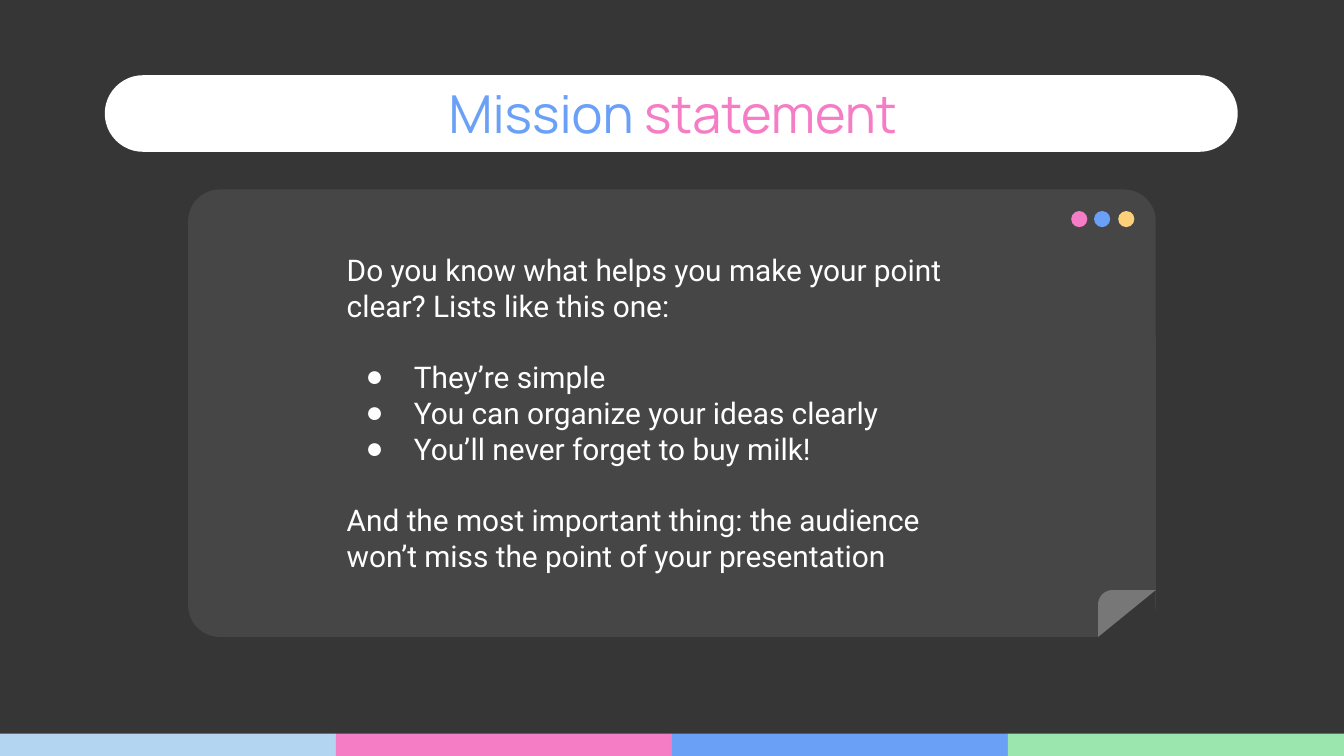
import math

import lxml.etree
import pptx
import pptx.dml.color
import pptx.enum.shapes
import pptx.enum.text
import pptx.oxml.ns
import pptx.util

Inches = pptx.util.Inches
Pt = pptx.util.Pt
Preset = pptx.enum.shapes.MSO_SHAPE
Align = pptx.enum.text.PP_ALIGN
qn = pptx.oxml.ns.qn

BACKGROUND, WHITE = "363636", "FFFFFF"
CARD, FOLD = "464646", "777777"
SKY, PINK, BLUE, GREEN, YELLOW = "B3D5F2", "F57DC6", "6AA1F7", "9AE6AE", "FCCF78"


def paint(target, color):
    """Fill a shape, line, background or font with one solid colour."""
    target.fill.solid()
    target.fill.fore_color.rgb = pptx.dml.color.RGBColor.from_string(color)


class SlideBuilder:
    title_font = {"name": "Manrope", "size": Pt(28)}
    body_font = {"name": "Roboto", "size": Pt(16)}
    paragraph_format = {"space_before": Pt(0), "space_after": Pt(0), "line_spacing": 1.0}
    frame_format = {
        "word_wrap": True,
        "auto_size": pptx.enum.text.MSO_AUTO_SIZE.NONE,
        "vertical_anchor": pptx.enum.text.MSO_ANCHOR.MIDDLE,
        "margin_left": Inches(0.1),
        "margin_right": Inches(0.1),
        "margin_top": Inches(0.1),
        "margin_bottom": Inches(0.1),
    }

    def __init__(self, slide):
        self.slide = slide
        paint(slide.background, BACKGROUND)

    def finish(self, shape, color):
        shape.shadow.inherit = False
        paint(shape, color)
        shape.line.fill.background()
        return shape

    def shape(self, shapes, preset, box, color, corner=None):
        drawn = shapes.add_shape(preset, *map(Inches, box))
        if corner is not None:
            drawn.adjustments[0] = corner
        return self.finish(drawn, color)

    def outline(self, shapes, points, color):
        corners = [(Inches(x), Inches(y)) for x, y in points]
        builder = shapes.build_freeform(*corners[0])
        builder.add_line_segments(corners[1:], close=True)
        return self.finish(builder.convert_to_shape(), color)

    def placeholder(self, holder, box):
        """Place a placeholder in front of the shapes and return its text frame."""
        holder.left, holder.top, holder.width, holder.height = map(Inches, box)
        self.slide.shapes.element.append(holder.element)
        frame = holder.text_frame
        for name, value in self.frame_format.items():
            setattr(frame, name, value)
        return frame

    def format_paragraph(self, paragraph, **changes):
        for name, value in {**self.paragraph_format, **changes}.items():
            setattr(paragraph, name, value)

    def run(self, paragraph, text, style, color):
        run = paragraph.add_run()
        run.text = text
        for name, value in style.items():
            setattr(run.font, name, value)
        paint(run.font, color)

    def title(self, box, parts):
        heading = self.placeholder(self.slide.shapes.title, box).paragraphs[0]
        self.format_paragraph(heading, alignment=Align.CENTER)
        for text, color in parts:
            self.run(heading, text, self.title_font, color)

    def bullet(self, paragraph, symbol):
        """Set the bullet and indent; no symbol means a plain paragraph."""
        properties = paragraph._p.get_or_add_pPr()
        margin, indent = (0.5, -0.36) if symbol else (0, 0)
        properties.set("marL", str(Inches(margin)))
        properties.set("indent", str(Inches(indent)))
        if not symbol:
            lxml.etree.SubElement(properties, qn("a:buNone"))
            return
        color = lxml.etree.SubElement(properties, qn("a:buClr"))
        lxml.etree.SubElement(color, qn("a:srgbClr"), val=WHITE)
        lxml.etree.SubElement(properties, qn("a:buChar"), char=symbol)

    def body(self, box, items):
        frame = self.placeholder(self.slide.placeholders[1], box)
        for index, (text, symbol, gap) in enumerate(items):
            paragraph = frame.add_paragraph() if index else frame.paragraphs[0]
            self.bullet(paragraph, symbol)
            self.format_paragraph(paragraph, alignment=Align.LEFT, space_before=Pt(gap))
            self.run(paragraph, text, self.body_font, WHITE)

    def card(self):
        """Draw the note with its window dots and folded corner."""
        parts = self.slide.shapes.add_group_shape().shapes
        self.shape(parts, Preset.ROUNDED_RECTANGLE, (1.4, 1.41, 7.2, 3.33), CARD, 0.071)
        for left, color in ((7.97, PINK), (8.14, BLUE), (8.32, YELLOW)):
            self.shape(parts, Preset.OVAL, (left, 1.57, 0.12, 0.12), color)

        cutout = self.shape(parts, Preset.RIGHT_TRIANGLE, (8.17, 4.4, 0.42, 0.34), BACKGROUND)
        cutout.element.spPr.find(qn("a:xfrm")).set("flipH", "1")
        paint(cutout.line, BACKGROUND)
        cutout.line.width = Pt(0.75)

        left, top, right, bottom, radius = 8.17, 4.39, 8.6, 4.74, 0.11
        angles = [math.radians(5 * step) for step in range(19)]
        arc = [(left + radius * (1 - math.sin(a)), top + radius * (1 - math.cos(a)))
               for a in angles]
        self.outline(parts, arc + [(left, bottom), (right, top)], FOLD)


def main():
    deck = pptx.Presentation()
    deck.slide_width = Inches(10)
    deck.slide_height = deck.slide_width * 9 // 16
    page = SlideBuilder(deck.slides.add_slide(deck.slide_layouts[1]))
    shapes = page.slide.shapes

    for index, color in enumerate((SKY, PINK, BLUE, GREEN)):
        page.shape(shapes, Preset.RECTANGLE, (2.5 * index, 5.46, 2.5, 0.17), color)
    page.shape(shapes, Preset.ROUNDED_RECTANGLE, (0.78, 0.56, 8.43, 0.57), WHITE, 0.5)
    page.card()

    line_gap = 19.2
    page.body((2.48, 1.66, 5.04, 2.82), [
        ("Do you know what helps you make your point clear? Lists like this one:", None, 0),
        ("They’re simple", "●", line_gap),
        ("You can organize your ideas clearly", "●", 0),
        ("You’ll never forget to buy milk!", "●", 0),
        ("And the most important thing: the audience won’t miss the point of your presentation",
         None, line_gap),
    ])
    page.title((0.79, 0.59, 8.43, 0.5), [("Mission ", BLUE), ("statement", PINK)])
    deck.save("out.pptx")


if __name__ == "__main__":
    main()
